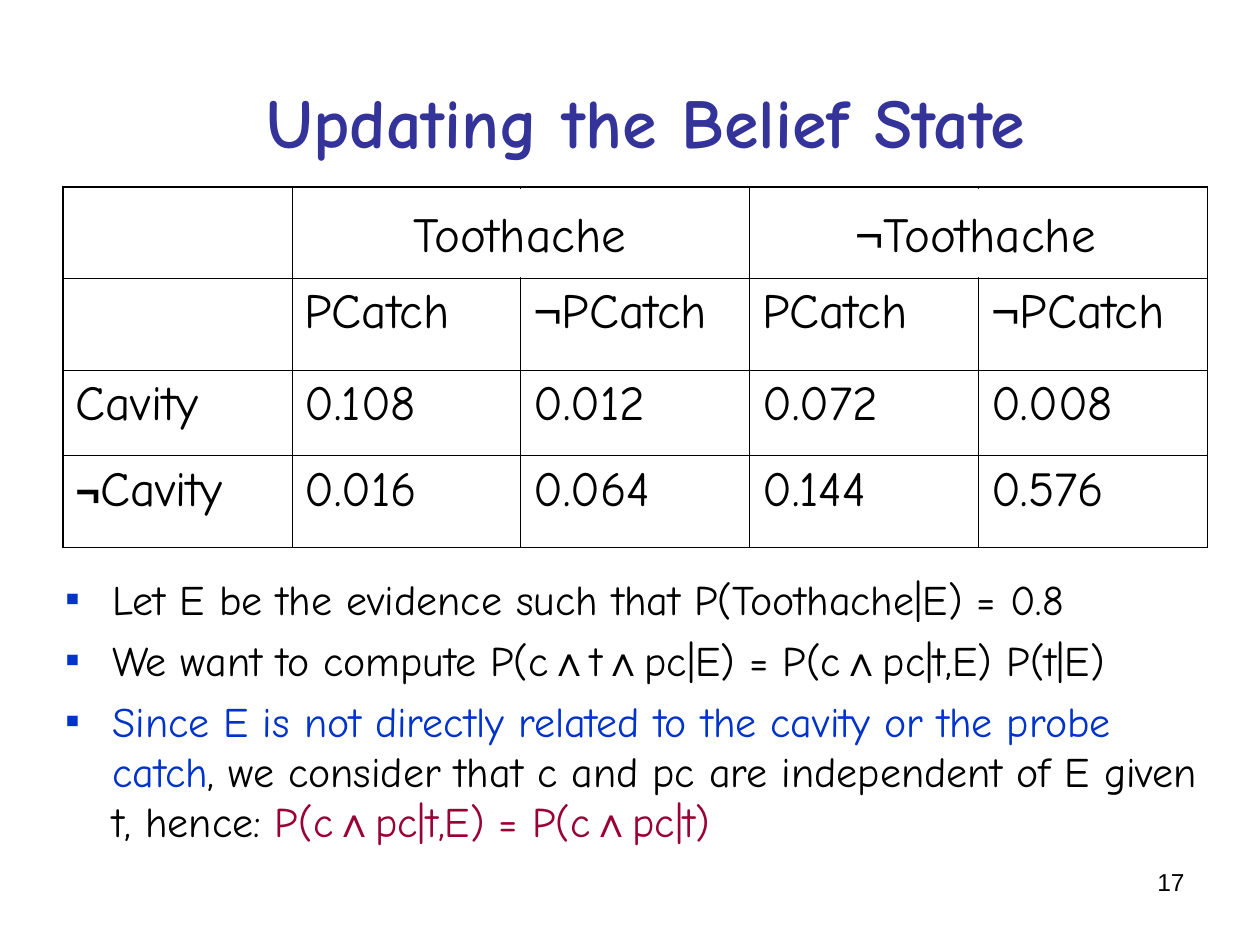
from dataclasses import dataclass
from itertools import groupby

from lxml.etree import SubElement
from pptx import Presentation
from pptx.dml.color import RGBColor
from pptx.enum.shapes import MSO_SHAPE
from pptx.enum.text import MSO_ANCHOR, MSO_AUTO_SIZE, PP_ALIGN
from pptx.oxml.ns import qn
from pptx.util import Pt

FONT, SYMBOL_FONT = "Comic Neue", "Arial"
SYMBOLS = "¬∧"
BLACK, WHITE, NAVY, BLUE, CRIMSON = "000000", "FFFFFF", "333399", "0033CC", "990033"
OUTER, INNER = 1.08, 0.45
COL_WIDTH = 130.8
ROW_HEIGHTS = [52.4, 52.4, 49, 52.4]
ROWS = [
    ["", "", "", "", ""],
    ["", "PCatch", "¬PCatch", "PCatch", "¬PCatch"],
    ["Cavity", "0.108", "0.012", "0.072", "0.008"],
    ["¬Cavity", "0.016", "0.064", "0.144", "0.576"],
]


@dataclass
class Box:
    left: float
    top: float
    width: float
    height: float

    def lengths(self) -> list:
        return [Pt(v) for v in (self.left, self.top, self.width, self.height)]


@dataclass
class Span:
    text: str
    color: str = BLACK


@dataclass
class Heading:
    text: str
    box: Box


HEADINGS = [
    Heading("Toothache", Box(174, 108, 246, 50.4)),
    Heading("¬Toothache", Box(433.5, 108, 247.5, 50.4)),
]
BULLETS = [
    [Span("Let E be the evidence such that P(Toothache|E) = 0.8")],
    [Span("We want to compute P(c∧t∧pc|E) = P(c∧pc|t,E) P(t|E)")],
    [
        Span("Since E is not directly related to the cavity or the probe catch", BLUE),
        Span(", we consider that c and pc are independent of E given t, hence: "),
        Span("P(c∧pc|t,E) = P(c∧pc|t)", CRIMSON),
    ],
]


def rgb(color: str) -> RGBColor:
    return RGBColor.from_string(color)


def add_text(p, text: str, *, size: float, color: str = BLACK, bold: bool = False,
             font: str = FONT, symbol_size: float = 0, symbol_bold: bool = False) -> None:
    """Add runs to a paragraph, setting logic symbols in their own font."""
    for is_symbol, chars in groupby(text, lambda ch: ch in SYMBOLS):
        r = p.add_run()
        r.text = "".join(chars)
        r.font.name = SYMBOL_FONT if is_symbol else font
        r.font.size = Pt(symbol_size or size) if is_symbol else Pt(size)
        r.font.bold = symbol_bold if is_symbol else bold
        r.font.color.rgb = rgb(color)


def place(sp, box: Box) -> None:
    sp.left, sp.top, sp.width, sp.height = box.lengths()


def set_borders(cell, widths: dict[str, float]) -> None:
    tc_pr = cell._tc.get_or_add_tcPr()
    for i, (side, width) in enumerate(widths.items()):
        ln = tc_pr.makeelement(qn(f"a:ln{side}"), {"w": str(Pt(width))})
        fill = SubElement(ln, qn("a:solidFill"))
        SubElement(fill, qn("a:srgbClr"), val=BLACK)
        tc_pr.insert(i, ln)


def add_bullet(p, color: str) -> None:
    p_pr = p._p.get_or_add_pPr()
    p_pr.set("marL", str(Pt(27)))
    p_pr.set("indent", str(Pt(-27)))
    bu_clr = SubElement(p_pr, qn("a:buClr"))
    SubElement(bu_clr, qn("a:srgbClr"), val=color)
    SubElement(p_pr, qn("a:buFont"), typeface=SYMBOL_FONT)
    SubElement(p_pr, qn("a:buChar"), char="▪")


def add_title(s) -> None:
    sp = s.shapes.title
    place(sp, Box(18, 24, 702, 90))
    tf = sp.text_frame
    tf.vertical_anchor = MSO_ANCHOR.MIDDLE
    tf.auto_size = MSO_AUTO_SIZE.NONE
    p = tf.paragraphs[0]
    p.alignment = PP_ALIGN.CENTER
    add_text(p, "Updating the Belief State", size=40, color=NAVY, bold=True)


def add_probability_table(s) -> None:
    n_rows, n_cols = len(ROWS), len(ROWS[0])
    box = Box(36, 106.7, COL_WIDTH * n_cols, sum(ROW_HEIGHTS))
    table = s.shapes.add_table(n_rows, n_cols, *box.lengths()).table
    table.first_row = table.horz_banding = False
    for column in table.columns:
        column.width = Pt(COL_WIDTH)
    for i, (row, height) in enumerate(zip(ROWS, ROW_HEIGHTS)):
        table.rows[i].height = Pt(height)
        for j, text in enumerate(row):
            cell = table.cell(i, j)
            cell.fill.background()
            set_borders(cell, {
                "L": OUTER if j == 0 else INNER,
                "R": OUTER if j == n_cols - 1 else INNER,
                "T": OUTER if i == 0 else INNER,
                "B": OUTER if i == n_rows - 1 else INNER,
            })
            is_negated_row = text == "¬Cavity"
            add_text(cell.text_frame.paragraphs[0], text, size=28,
                     symbol_size=24 if is_negated_row else 28, symbol_bold=is_negated_row)


def add_heading(s, heading: Heading) -> None:
    """Cover two cells of the top row with one column heading."""
    sp = s.shapes.add_shape(MSO_SHAPE.RECTANGLE, *heading.box.lengths())
    sp.shadow.inherit = False
    sp.fill.solid()
    sp.fill.fore_color.rgb = rgb(WHITE)
    sp.line.fill.background()
    tf = sp.text_frame
    tf.word_wrap = False
    tf.vertical_anchor = MSO_ANCHOR.MIDDLE
    p = tf.paragraphs[0]
    p.alignment = PP_ALIGN.CENTER
    add_text(p, heading.text, size=28)


def add_bullets(s) -> None:
    sp = s.placeholders[1]
    place(sp, Box(30, 324, 666, 192))
    tf = sp.text_frame
    tf.auto_size = MSO_AUTO_SIZE.NONE
    for i, spans in enumerate(BULLETS):
        p = tf.add_paragraph() if i else tf.paragraphs[0]
        add_bullet(p, BLUE)
        p.space_before = Pt(6 if i else 0)
        for span in spans:
            add_text(p, span.text, size=24, color=span.color, symbol_bold=True)


def add_page_number(s) -> None:
    tf = s.shapes.add_textbox(*Box(516, 492, 168, 37.5).lengths()).text_frame
    tf.word_wrap = True
    p = tf.paragraphs[0]
    p.alignment = PP_ALIGN.RIGHT
    add_text(p, "17", size=14, font="Arial")


def main() -> None:
    prs = Presentation()
    prs.slide_width, prs.slide_height = Pt(720), Pt(540)
    s = prs.slides.add_slide(prs.slide_layouts[1])
    add_title(s)
    add_probability_table(s)
    for heading in HEADINGS:
        add_heading(s, heading)
    add_bullets(s)
    add_page_number(s)
    prs.save("out.pptx")


if __name__ == "__main__":
    main()
